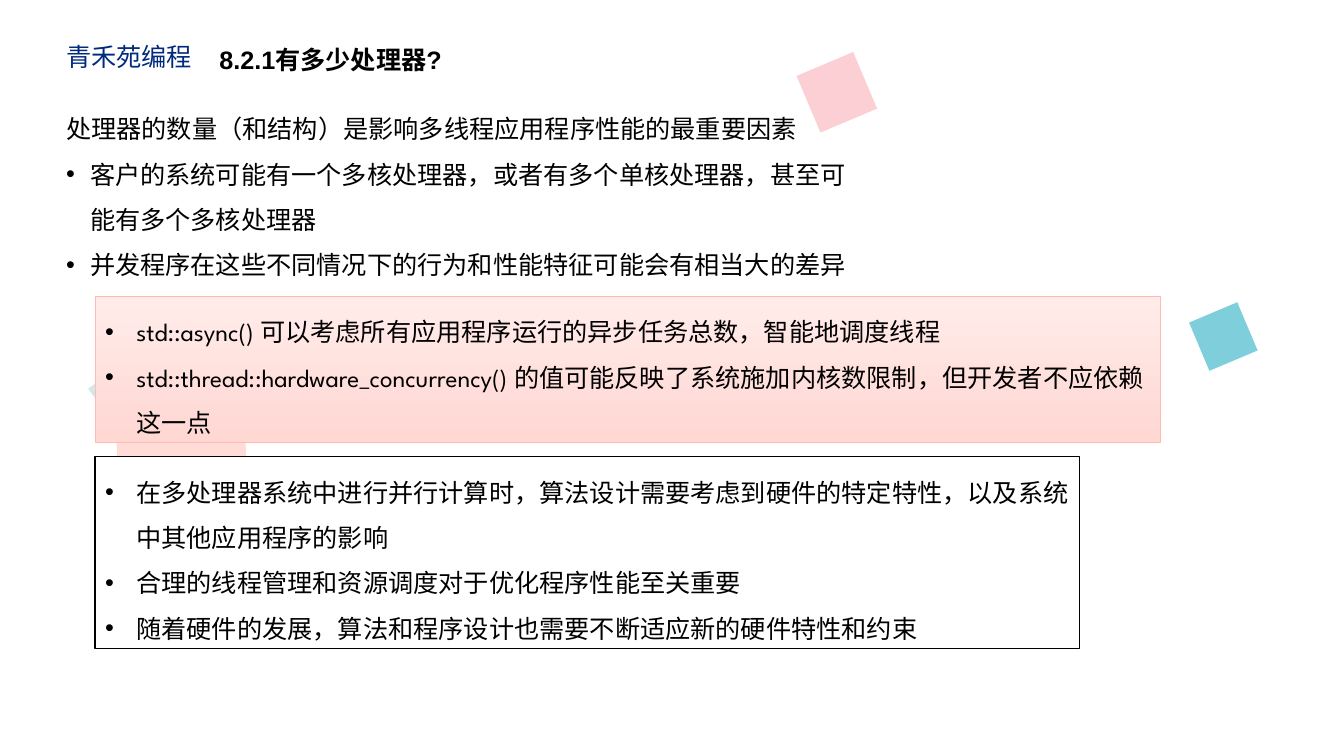
from dataclasses import dataclass

from lxml.etree import SubElement
from pptx import Presentation
from pptx.dml.color import RGBColor
from pptx.enum.shapes import MSO_SHAPE
from pptx.enum.text import MSO_ANCHOR, PP_ALIGN
from pptx.oxml.ns import qn
from pptx.util import Cm, Pt


@dataclass(frozen=True)
class Theme:
    text: str = "000000"
    brand: str = "002A7E"
    panel: str = "FFFFFF"
    blush: str = "FFBBB3"
    mist: str = "AACED2"
    rose: str = "FAA0AA"
    teal: str = "009FB8"
    gradient: tuple = ("FFECE9", "FFD7D3")
    size: int = 18
    line_spacing: float = 1.5
    heading_font: str = "Arial"
    panel_font: str = "League Spartan"
    chinese_font: str = "Noto Sans CJK JP"


THEME = Theme()

INTRO = "处理器的数量（和结构）是影响多线程应用程序性能的最重要因素"
SITUATIONS = [
    "客户的系统可能有一个多核处理器，或者有多个单核处理器，甚至可能有多个多核处理器",
    "并发程序在这些不同情况下的行为和性能特征可能会有相当大的差异",
]
ADVICE = [
    "在多处理器系统中进行并行计算时，算法设计需要考虑到硬件的特定特性，以及系统中其他应用程序的影响",
    "合理的线程管理和资源调度对于优化程序性能至关重要",
    "随着硬件的发展，算法和程序设计也需要不断适应新的硬件特性和约束",
]
LIBRARY_NOTES = [
    "std::async() 可以考虑所有应用程序运行的异步任务总数，智能地调度线程",
    "std::thread::hardware_concurrency() 的值可能反映了系统施加内核数限制，但开发者不应依赖这一点",
]


def rgb(color):
    return RGBColor.from_string(color)


def add_rectangle(page, left, top, width, height):
    box = page.shapes.add_shape(
        MSO_SHAPE.RECTANGLE, Cm(left), Cm(top), Cm(width), Cm(height))
    box.shadow.inherit = False
    return box


def add_tilted_square(page, left, top, side, rotation, color):
    """Add a half-transparent decorative square."""
    square = add_rectangle(page, left, top, side, side)
    square.rotation = rotation
    square.line.fill.background()
    square.fill.solid()
    square.fill.fore_color.rgb = rgb(color)
    color_element = square.fill._xPr.find(qn("a:solidFill"))[0]
    SubElement(color_element, qn("a:alpha"), val="50000")


def prepare_frame(box):
    frame = box.text_frame
    frame.word_wrap = True
    frame.vertical_anchor = MSO_ANCHOR.TOP
    return frame


def add_text_box(page, left, top, width, height):
    return prepare_frame(page.shapes.add_textbox(
        Cm(left), Cm(top), Cm(width), Cm(height)))


def add_panel(page, left, top, width, height, line_color, line_width):
    box = add_rectangle(page, left, top, width, height)
    box.line.color.rgb = rgb(line_color)
    box.line.width = Pt(line_width)
    return box


def write(para, text, font, color=THEME.text, bold=False):
    para.alignment = PP_ALIGN.LEFT
    span = para.add_run()
    span.text = text
    span.font.name = font
    span.font.size = Pt(THEME.size)
    span.font.bold = bold
    span.font.color.rgb = rgb(color)
    SubElement(span.font._element, qn("a:ea"), typeface=THEME.chinese_font)


def set_bullet(para, indent):
    properties = para._p.get_or_add_pPr()
    properties.set("marL", str(Cm(indent)))
    properties.set("indent", str(-Cm(indent)))
    SubElement(properties, qn("a:buFont"), typeface="Arial")
    SubElement(properties, qn("a:buChar"), char="•")


def write_bullets(frame, texts, font, indent):
    for text in texts:
        first = frame.paragraphs[0]
        para = frame.add_paragraph() if first.runs else first
        set_bullet(para, indent)
        para.line_spacing = THEME.line_spacing
        write(para, text, font)


def add_decoration(page):
    add_tilted_square(page, 2.9, 8.74, 3.25, 357.2, THEME.blush)
    add_tilted_square(page, 2.39, 9.47, 0.84, 324.4, THEME.mist)
    add_tilted_square(page, 20.32, 1.55, 1.55, 337.1, THEME.rose)
    add_tilted_square(page, 30.18, 7.82, 1.32, 337.1, THEME.teal)


def add_header(page):
    brand = add_text_box(page, 1.42, 0.91, 3.78, 1.02)
    write(brand.paragraphs[0], "青禾苑编程", THEME.chinese_font, THEME.brand)
    title = add_text_box(page, 5.28, 0.99, 16.94, 1.02)
    write(title.paragraphs[0], "8.2.1有多少处理器?", THEME.heading_font, bold=True)


def add_introduction(page):
    frame = add_text_box(page, 1.42, 2.36, 20.45, 4.83)
    para = frame.paragraphs[0]
    para.line_spacing = THEME.line_spacing
    write(para, INTRO, THEME.heading_font)
    write_bullets(frame, SITUATIONS, THEME.heading_font, 0.6)


def add_advice(page):
    box = add_panel(page, 2.4, 11.51, 24.82, 4.83, THEME.text, 1)
    box.fill.solid()
    box.fill.fore_color.rgb = rgb(THEME.panel)
    write_bullets(prepare_frame(box), ADVICE, THEME.panel_font, 0.79)


def add_library_notes(page):
    box = add_panel(page, 2.4, 7.47, 26.85, 3.68, THEME.blush, 0.5)
    box.fill.gradient()
    box.fill.gradient_angle = 270
    for position, (stop, color) in enumerate(
            zip(box.fill.gradient_stops, THEME.gradient)):
        stop.position = position
        stop.color.rgb = rgb(color)
    write_bullets(prepare_frame(box), LIBRARY_NOTES, THEME.panel_font, 0.79)


def main():
    deck = Presentation()
    deck.slide_width, deck.slide_height = Cm(33.88), Cm(19.05)
    page = deck.slides.add_slide(deck.slide_layouts[6])
    add_decoration(page)
    add_header(page)
    add_introduction(page)
    add_advice(page)
    add_library_notes(page)
    deck.save("out.pptx")


if __name__ == "__main__":
    main()
